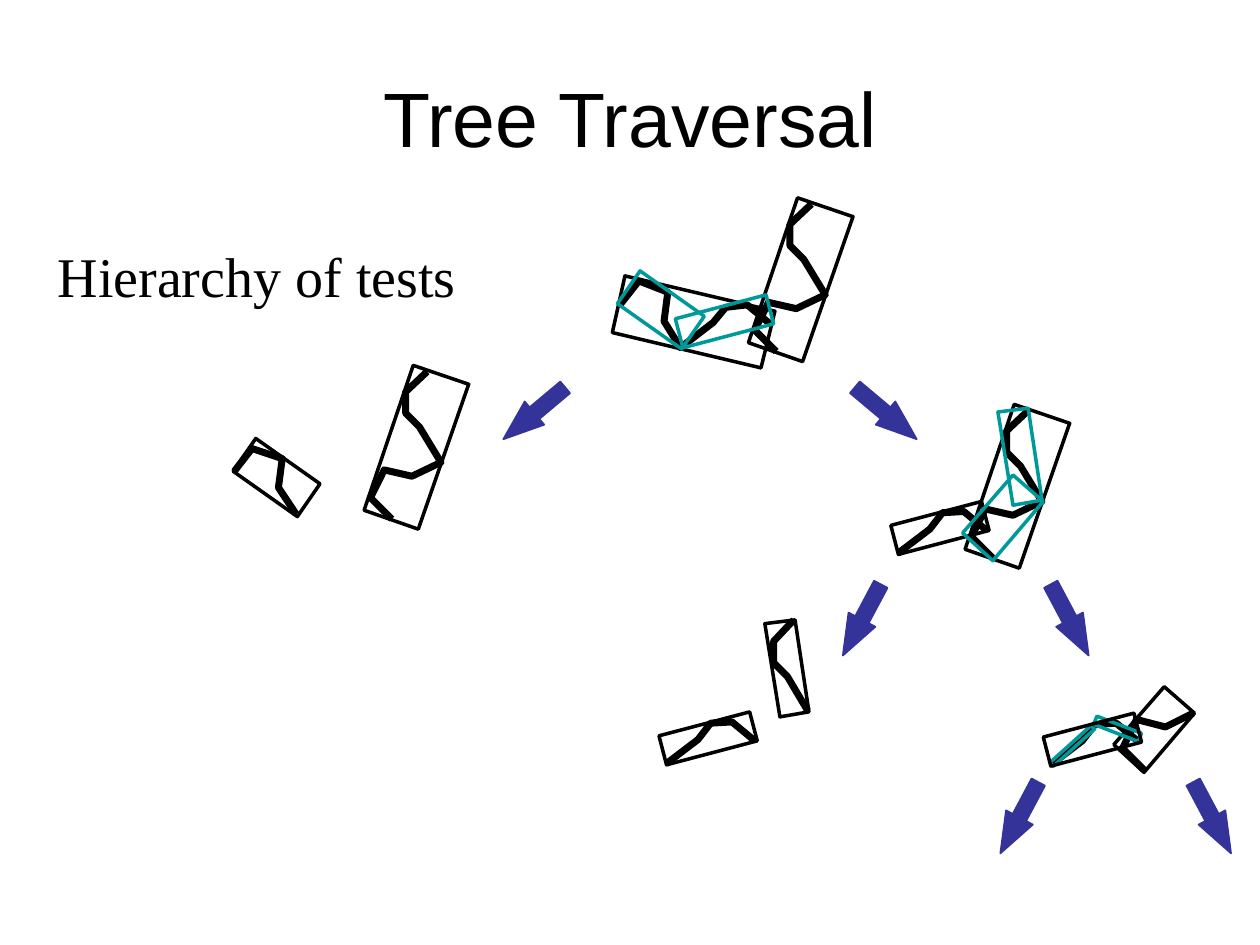
import pptx
import pptx.dml.color
import pptx.enum.shapes
import pptx.enum.text
import pptx.util

PX = 9144
BLACK, TEAL, INDIGO = "000000", "009999", "333399"


def color(hex_string):
    return pptx.dml.color.RGBColor.from_string(hex_string)


def add_outline(group, name, left, top, line_color):
    points, closed = OUTLINES[name]
    builder = group.shapes.build_freeform(*points[0], scale=PX)
    builder.add_line_segments(points[1:], close=closed)
    shape = builder.convert_to_shape(left * PX, top * PX)
    shape.shadow.inherit = False
    shape.fill.background()
    shape.line.color.rgb = color(line_color)
    shape.line.width = pptx.util.Pt(2 if closed else 4)


OUTLINES = {
    "tall curve": ([(50, 5), (33, 21), (33, 38), (44, 49), (61, 77), (38, 88), (16, 83), (5, 105), (22, 122)], False),
    "tall box": ([(39, 0), (83, 15), (43, 130), (0, 115)], True),
    "wide curve": ([(125, 38), (107, 23), (90, 25), (80, 37), (54, 57), (41, 36), (44, 13), (21, 4), (6, 23)], False),
    "wide box": ([(129, 28), (118, 73), (0, 45), (10, 0)], True),
    "small curve": ([(1, 26), (15, 8), (39, 16), (36, 39), (50, 60)], False),
    "small box": ([(69, 36), (51, 62), (0, 26), (18, 0)], True),
    "flat curve": ([(6, 41), (31, 22), (41, 9), (58, 8), (76, 23)], False),
    "flat box": ([(72, 0), (78, 23), (6, 42), (0, 19)], True),
    "narrow curve": ([(34, 72), (18, 45), (7, 34), (7, 17), (23, 0)], False),
    "narrow box": ([(0, 3), (24, 0), (35, 73), (12, 77)], True),
    "tilted curve": ([(24, 66), (7, 49), (18, 26), (41, 32), (63, 21)], False),
    "tilted box": ([(40, 0), (64, 21), (24, 68), (0, 46)], True),
}

TREE_NODES = [
    [
        ("tall curve", 289, 290, BLACK),
        ("tall box", 289, 290, BLACK),
        ("small box", 185, 348, BLACK),
        ("small curve", 185, 348, BLACK),
    ],
    [
        ("tall curve", 594, 157, BLACK),
        ("tall box", 594, 157, BLACK),
        ("wide curve", 486, 219, BLACK),
        ("wide box", 486, 219, BLACK),
        ("flat box", 536, 234, TEAL),
        ("small box", 490, 215, TEAL),
    ],
    [
        ("tall curve", 766, 321, BLACK),
        ("tall box", 766, 321, BLACK),
        ("flat curve", 707, 398, BLACK),
        ("flat box", 707, 398, BLACK),
        ("narrow box", 792, 324, TEAL),
        ("tilted box", 764, 377, TEAL),
    ],
    [
        ("flat curve", 523, 565, BLACK),
        ("flat box", 523, 565, BLACK),
        ("narrow box", 607, 492, BLACK),
        ("narrow curve", 607, 492, BLACK),
    ],
    [
        ("flat curve", 828, 566, BLACK),
        ("tilted box", 884, 545, BLACK),
        ("tilted curve", 884, 545, BLACK),
    ],
]

LEAF_BARS = [(829, 590, 44, 4, 318), (868, 575, 38, 7, 21)]

ARROWS = [
    (817, 480, 62),
    (777, 637, 118),
    (671, 316, 40),
    (930, 637, 62),
    (652, 480, 118),
    (392, 316, 140),
]

presentation = pptx.Presentation()
presentation.slide_width = 1000 * PX
presentation.slide_height = 750 * PX
slide = presentation.slides.add_slide(presentation.slide_layouts[5])

title = slide.shapes.title
title.left, title.top, title.width, title.height = 50 * PX, 30 * PX, 900 * PX, 125 * PX
title.text_frame.text = "Tree Traversal"
title.text_frame.vertical_anchor = pptx.enum.text.MSO_ANCHOR.MIDDLE
paragraph = title.text_frame.paragraphs[0]
paragraph.alignment = pptx.enum.text.PP_ALIGN.CENTER
paragraph.font.name = "Arial"
paragraph.font.size = pptx.util.Pt(44)
paragraph.font.color.rgb = color(BLACK)

for node in TREE_NODES:
    group = slide.shapes.add_group_shape()
    for name, left, top, line_color in node:
        add_outline(group, name, left, top, line_color)

for left, top, width, height, rotation in LEAF_BARS:
    bar = group.shapes.add_shape(
        pptx.enum.shapes.MSO_SHAPE.RECTANGLE, left * PX, top * PX, width * PX, height * PX
    )
    bar.rotation = rotation
    bar.shadow.inherit = False
    bar.fill.background()
    bar.line.color.rgb = color(TEAL)
    bar.line.width = pptx.util.Pt(2)
add_outline(group, "flat box", 828, 566, BLACK)

for left, top, rotation in ARROWS:
    arrow = slide.shapes.add_shape(
        pptx.enum.shapes.MSO_SHAPE.RIGHT_ARROW, left * PX, top * PX, 64 * PX, 24 * PX
    )
    arrow.adjustments[0] = 0.5
    arrow.adjustments[1] = 1.34
    arrow.rotation = rotation
    arrow.shadow.inherit = False
    arrow.fill.solid()
    arrow.fill.fore_color.rgb = color(INDIGO)
    arrow.line.color.rgb = color(INDIGO)
    arrow.line.width = pptx.util.Pt(1)

caption = slide.shapes.add_textbox(36 * PX, 187 * PX, 336 * PX, 63 * PX)
caption.text_frame.text = "Hierarchy of tests"
caption.text_frame.word_wrap = False
caption.text_frame.auto_size = pptx.enum.text.MSO_AUTO_SIZE.SHAPE_TO_FIT_TEXT
paragraph = caption.text_frame.paragraphs[0]
paragraph.font.name = "Times New Roman"
paragraph.font.size = pptx.util.Pt(32)
paragraph.font.color.rgb = color(BLACK)

presentation.save("out.pptx")
